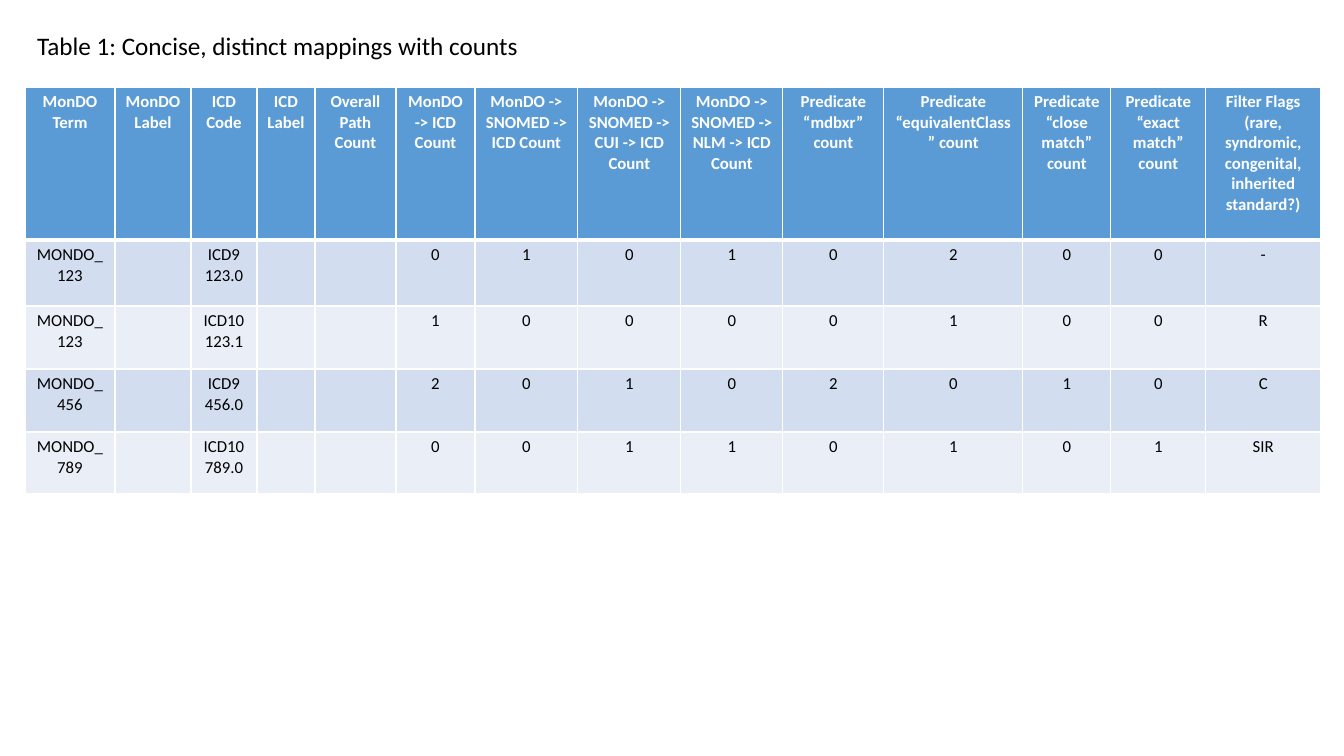
"""Build a slide with a table of concise, distinct mappings and their counts."""
from dataclasses import dataclass

from lxml import etree
from pptx import Presentation
from pptx.dml.color import RGBColor
from pptx.enum.text import MSO_AUTO_SIZE, PP_ALIGN
from pptx.oxml.ns import qn
from pptx.util import Pt

CENTER = PP_ALIGN.CENTER
FIT_SHAPE = MSO_AUTO_SIZE.SHAPE_TO_FIT_TEXT
EMU_PER_PIXEL = 914400 / 100.8
SLIDE_SIZE = (1344, 756)
TITLE_BOX = (24, 25, 507, 40)
TABLE_BOX = (25, 87, 1296, 407)
COLUMN_WIDTHS = [90, 76, 66, 58, 81, 79, 103, 103, 102, 101, 139, 88, 95, 115]
ROW_HEIGHTS = [153, 66, 63, 63, 62]

TITLE = "Table 1: Concise, distinct mappings with counts"
HEADERS = [
    "MonDO Term", "MonDO Label", "ICD Code", "ICD Label", "Overall Path Count",
    "MonDO -> ICD Count", "MonDO -> SNOMED -> ICD Count",
    "MonDO -> SNOMED -> CUI -> ICD Count", "MonDO -> SNOMED -> NLM -> ICD Count",
    "Predicate “mdbxr” count", "Predicate “equivalentClass” count",
    "Predicate “close match” count", "Predicate “exact match” count",
    "Filter Flags (rare, syndromic, congenital, inherited standard?)",
]
MAPPINGS = [
    ("MONDO_123", "ICD9 123.0", "01010200", "-"),
    ("MONDO_123", "ICD10 123.1", "10000100", "R"),
    ("MONDO_456", "ICD9 456.0", "20102010", "C"),
    ("MONDO_789", "ICD10 789.0", "00110101", "SIR"),
]


@dataclass(frozen=True)
class Theme:
    """Hold the colours, font, type sizes and border widths."""
    font: str = "Calibri"
    title_size: int = 18
    cell_size: int = 12
    text: str = "000000"
    header_text: str = "FFFFFF"
    header_fill: str = "5B9BD5"
    band_fills: tuple = ("D2DEEF", "EAEFF7")
    border: str = "FFFFFF"
    border_width: int = 1
    header_rule_width: int = 3


THEME = Theme()


def emu(pixels):
    """Turn pixels into EMU."""
    return round(pixels * EMU_PER_PIXEL)


def write_text(text_frame, text, size, color, bold=False):
    """Write one centred paragraph in the theme font."""
    paragraph = text_frame.paragraphs[0]
    paragraph.alignment = CENTER
    run = paragraph.add_run()
    run.text = text
    formats = {"name": THEME.font, "size": Pt(size), "bold": bold}
    for name, value in formats.items():
        setattr(run.font, name, value)
    run.font.color.rgb = RGBColor.from_string(color)


def draw_borders(cell, top, bottom):
    """Draw the four borders of a cell with the given top and bottom widths."""
    side = THEME.border_width
    properties = cell._tc.get_or_add_tcPr()
    for tag, width in {"lnL": side, "lnR": side, "lnT": top, "lnB": bottom}.items():
        line = etree.SubElement(properties, qn(f"a:{tag}"), w=str(Pt(width)))
        fill = etree.SubElement(line, qn("a:solidFill"))
        etree.SubElement(fill, qn("a:srgbClr"), val=THEME.border)


def style_cell(cell, row_index, text):
    """Give a cell its borders, fill and text according to its row."""
    header = row_index == 0
    thin, thick = THEME.border_width, THEME.header_rule_width
    draw_borders(cell, thick if row_index == 1 else thin, thick if header else thin)
    fill = THEME.header_fill if header else THEME.band_fills[(row_index - 1) % 2]
    cell.fill.solid()
    cell.fill.fore_color.rgb = RGBColor.from_string(fill)
    if text:
        color = THEME.header_text if header else THEME.text
        write_text(cell.text_frame, text, THEME.cell_size, color, header)


def add_title(slide, box):
    """Place the table title in its box."""
    text_frame = slide.shapes.add_textbox(*map(emu, box)).text_frame
    formats = {"word_wrap": False, "auto_size": FIT_SHAPE}
    for name, value in formats.items():
        setattr(text_frame, name, value)
    write_text(text_frame, TITLE, THEME.title_size, THEME.text)


def add_mapping_table(slide, box):
    """Place the mapping table in its box."""
    rows = [HEADERS] + [
        [term, "", code, "", "", *counts, flags]
        for term, code, counts, flags in MAPPINGS
    ]
    table = slide.shapes.add_table(len(rows), len(HEADERS), *map(emu, box)).table
    for column, width in zip(table.columns, COLUMN_WIDTHS):
        column.width = emu(width)
    for row, height in zip(table.rows, ROW_HEIGHTS):
        row.height = emu(height)
    for row_index, texts in enumerate(rows):
        for column_index, text in enumerate(texts):
            style_cell(table.cell(row_index, column_index), row_index, text)


def main():
    """Build and save the presentation."""
    presentation = Presentation()
    presentation.slide_width, presentation.slide_height = map(emu, SLIDE_SIZE)
    slide = presentation.slides.add_slide(presentation.slide_layouts[6])
    add_mapping_table(slide, TABLE_BOX)
    add_title(slide, TITLE_BOX)
    presentation.save("out.pptx")


main()
